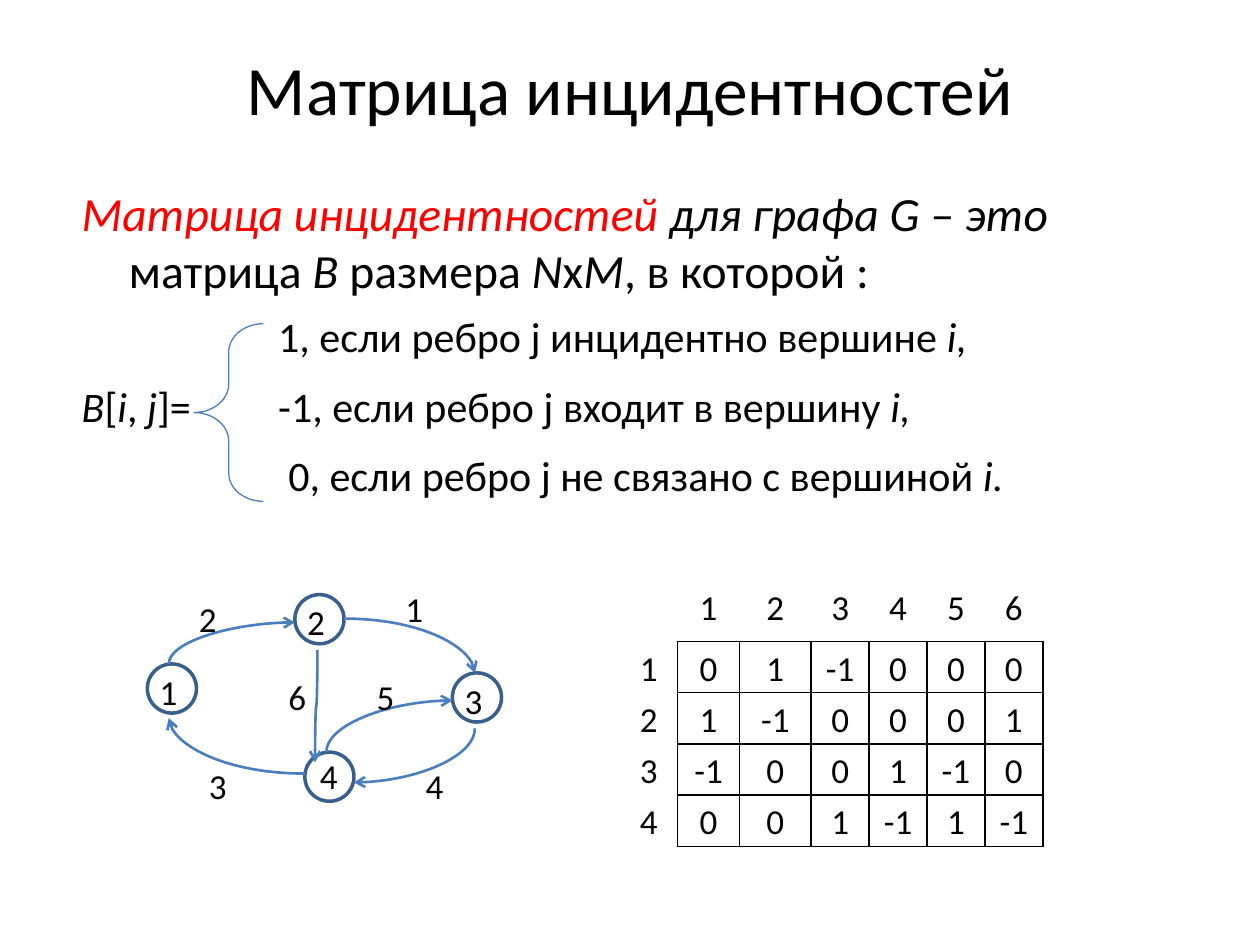
"""Build a slide on the incidence matrix of a directed graph."""
from lxml import etree
from pptx import Presentation
from pptx.dml.color import RGBColor
from pptx.enum.shapes import MSO_CONNECTOR, MSO_SHAPE
from pptx.enum.text import MSO_ANCHOR, MSO_AUTO_SIZE, PP_ALIGN
from pptx.oxml.ns import qn
from pptx.util import Pt

BLACK = RGBColor(0x00, 0x00, 0x00)
RED = RGBColor(0xFF, 0x00, 0x00)
BLUE = RGBColor(0x4B, 0x7E, 0xBC)
NAVY = RGBColor(0x3A, 0x5F, 0x8C)
FONT = "Calibri"
NO_GRID_STYLE = "{2D5ABB26-0587-4C30-8999-92F81FD0307C}"

presentation = Presentation()
presentation.slide_width, presentation.slide_height = Pt(720), Pt(540)
slide = presentation.slides.add_slide(presentation.slide_layouts[6])


def add_run(paragraph, text, size, italic=False, color=BLACK):
    run = paragraph.add_run()
    run.text = text
    run.font.name = FONT
    run.font.size = Pt(size)
    run.font.italic = italic
    run.font.color.rgb = color


def add_text(left, top, width, height, size, runs, wrap=True, grow=True):
    shape = slide.shapes.add_textbox(Pt(left), Pt(top), Pt(width), Pt(height))
    frame = shape.text_frame
    frame.word_wrap = wrap
    frame.auto_size = MSO_AUTO_SIZE.SHAPE_TO_FIT_TEXT if grow else MSO_AUTO_SIZE.NONE
    for run in runs:
        add_run(frame.paragraphs[0], run[0], size, *run[1:])
    return frame


title = add_text(36, 21.6, 648, 56.9, 39.6, [("Матрица инцидентностей",)], grow=False)
title.vertical_anchor = MSO_ANCHOR.MIDDLE
title.paragraphs[0].alignment = PP_ALIGN.CENTER

definition = add_text(39.6, 101.5, 648, 61.9, 27.2, [
    ("Матрица инцидентностей ", True, RED), ("для графа G – это ", True),
    ("матрица ",), ("B", True), (" размера ",), ("N", True), ("х",),
    ("M", True), (", в которой :",)], grow=False)
definition.paragraphs[0].space_before = Pt(5.4)
properties = definition.paragraphs[0]._p.get_or_add_pPr()
properties.set("marL", str(Pt(27)))
properties.set("indent", str(Pt(-27)))

add_text(39.6, 213.8, 84.2, 36, 24, [
    ("B", True), ("[",), ("i", True), (", ",), ("j", True), ("]=",)])

brace = slide.shapes.add_shape(MSO_SHAPE.LEFT_BRACE, Pt(110.9), Pt(185), Pt(39.6), Pt(101.5))
brace.adjustments[0] = 0.41
brace.shadow.inherit = False
brace.fill.background()
brace.line.color.rgb = BLUE
brace.line.width = Pt(0.75)

cases = [
    (151.9, 410.4, "1, если ребро j инцидентно вершине ", "i,"),
    (151.9, 410.4, "-1, если ребро j входит в вершину ", "i,"),
    (157.7, 466.6, "0, если ребро j не связано с вершиной ", "i."),
]
for index, (left, width, condition, vertex) in enumerate(cases):
    add_text(left, 174.2 + 39.6 * index, width, 36, 24, [(condition,), (vertex, True)])

for left, top in [(84.2, 379.4), (174.2, 429.8), (168.5, 339.8), (258.5, 384.5)]:
    node = slide.shapes.add_shape(MSO_SHAPE.OVAL, Pt(left), Pt(top), Pt(28.1), Pt(28.1))
    node.shadow.inherit = False
    node.fill.background()
    node.line.color.rgb = NAVY
    node.line.width = Pt(2)

edges = [
    (96.5, 379.4, 168.5, 355.7, True, "curvedConnector2"),
    (271.4, 416.2, 202.3, 447.1, True, "curvedConnector2"),
    (181.4, 371.5, 180, 435.6, True, "curvedConnector3"),
    (186.5, 429.8, 258.5, 400.3, True, "curvedConnector2"),
    (174.2, 442.1, 96.5, 410.4, False, "curvedConnector2"),
    (196.6, 353.5, 271.4, 384.5, False, "curvedConnector2"),
]
for start_x, start_y, end_x, end_y, leaves_vertically, preset in edges:
    center_x, center_y = (start_x + end_x) / 2, (start_y + end_y) / 2
    half_x, half_y = (end_x - start_x) / 2, (end_y - start_y) / 2
    if leaves_vertically:
        half_x, half_y = half_y, -half_x
    edge = slide.shapes.add_connector(
        MSO_CONNECTOR.CURVE, Pt(center_x - half_x), Pt(center_y - half_y),
        Pt(center_x + half_x), Pt(center_y + half_y))
    edge.line.color.rgb = BLUE
    edge.line.width = Pt(1.5)
    shape_properties = edge._element.spPr
    shape_properties.find(qn("a:prstGeom")).set("prst", preset)
    if leaves_vertically:
        shape_properties.find(qn("a:xfrm")).set("rot", "5400000")
    etree.SubElement(shape_properties.find(qn("a:ln")), qn("a:tailEnd"), type="arrow")
    etree.SubElement(shape_properties, qn("a:effectLst"))

node_labels = [("1", 84.2, 379.4), ("3", 258.5, 384.5), ("2", 168.5, 339.8), ("4", 175.7, 427.7)]
edge_labels = [("6", 157.7, 382.3), ("5", 208.1, 382.3), ("4", 236.2, 433.4),
               ("3", 112.3, 433.4), ("2", 106.6, 337.7), ("1", 224.6, 331.9)]
for label, left, top in node_labels + edge_labels:
    add_text(left, top, 24.5, 31.7, 20, [(label,)], wrap=False)

matrix = [
    ["", 1, 2, 3, 4, 5, 6],
    [1, 0, 1, -1, 0, 0, 0],
    [2, 1, -1, 0, 0, 0, 1],
    [3, -1, 0, 0, 1, -1, 0],
    [4, 0, 0, 1, -1, 1, -1],
]
column_widths = [33.1, 35.3, 41] + [33.1] * 4
row_heights = [34.6] + [29.3] * 4
table = slide.shapes.add_table(
    len(row_heights), len(column_widths), Pt(354.2), Pt(331.9),
    Pt(sum(column_widths)), Pt(sum(row_heights))).table
table.first_row = table.horz_banding = False
table._tbl.tblPr.find(qn("a:tableStyleId")).text = NO_GRID_STYLE
for column, width in zip(table.columns, column_widths):
    column.width = Pt(width)
for row, height in zip(table.rows, row_heights):
    row.height = Pt(height)

for row_index, values in enumerate(matrix):
    for column_index, value in enumerate(values):
        cell = table.cell(row_index, column_index)
        cell.margin_left = cell.margin_right = Pt(5)
        cell.margin_top = cell.margin_bottom = 0
        paragraph = cell.text_frame.paragraphs[0]
        paragraph.alignment = PP_ALIGN.CENTER
        paragraph.line_spacing = 1.15
        if value != "":
            add_run(paragraph, str(value), 20)
        if row_index and column_index:
            sides = ["lnL", "lnR", "lnT", "lnB"]
        elif row_index:
            sides = ["lnR"]
        else:
            sides = ["lnB"] if column_index else []
        for side in sides:
            border = etree.SubElement(cell._tc.get_or_add_tcPr(), qn(f"a:{side}"), w=str(Pt(1)))
            fill = etree.SubElement(border, qn("a:solidFill"))
            etree.SubElement(fill, qn("a:srgbClr"), val=str(BLACK))
        cell.fill.background()

presentation.save("out.pptx")
